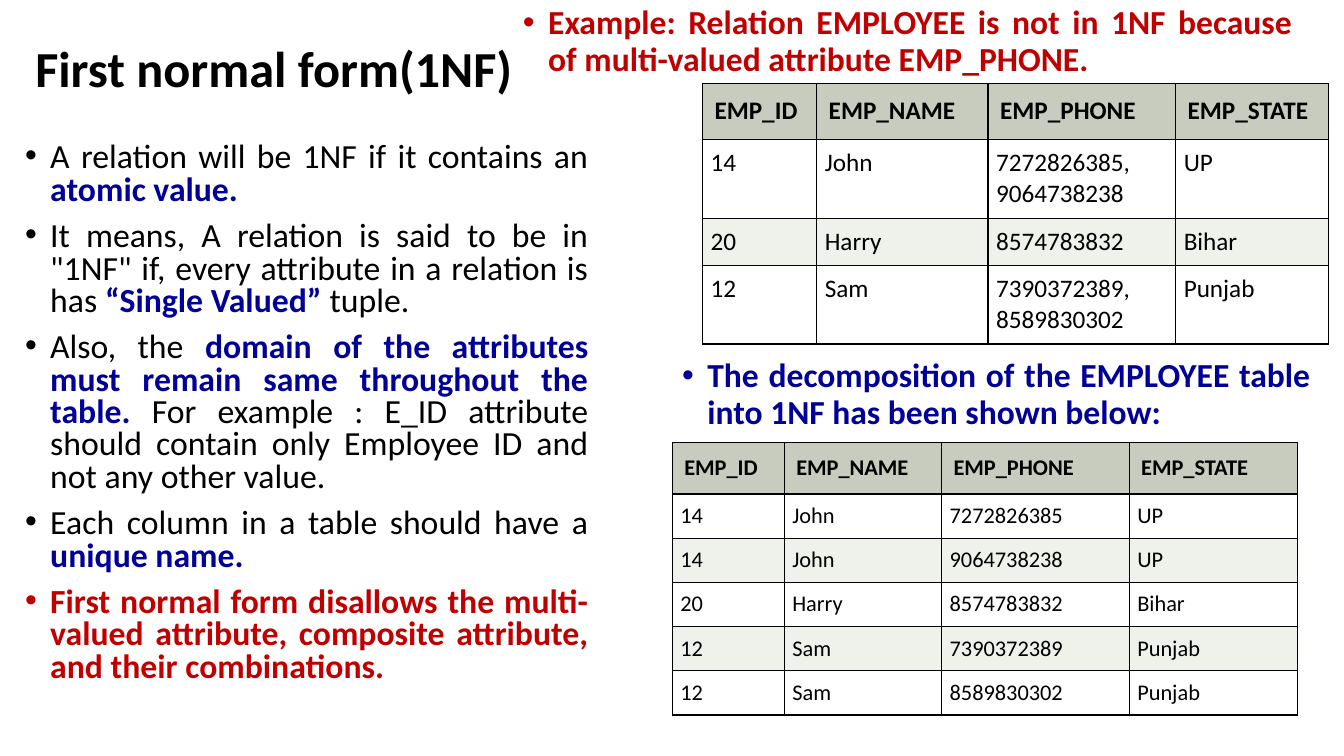
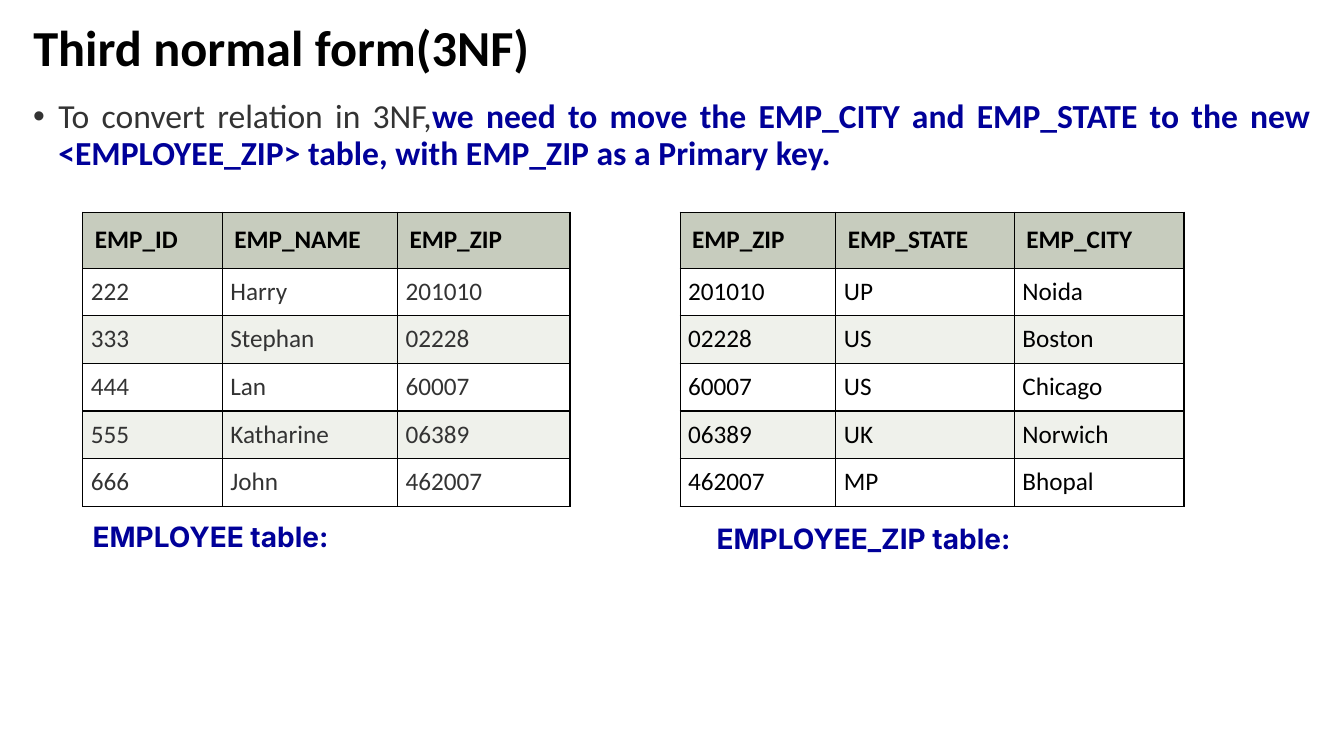
from lxml.etree import SubElement
from pptx import Presentation
from pptx.dml.color import RGBColor
from pptx.enum.text import MSO_ANCHOR, MSO_AUTO_SIZE, PP_ALIGN
from pptx.oxml.ns import qn
from pptx.util import Pt

BLACK = RGBColor(0x00, 0x00, 0x00)
WHITE = RGBColor(0xFF, 0xFF, 0xFF)
GREY = RGBColor(0x33, 0x33, 0x33)
BLUE = RGBColor(0x00, 0x00, 0x99)
RED = RGBColor(0xC0, 0x00, 0x00)
HEADER_FILL = RGBColor(0xC7, 0xCC, 0xBE)
BAND_FILL = RGBColor(0xEF, 0xF1, 0xEB)

MAIN_FONT, CAPTION_FONT = "Calibri", "Inter"
HEADER_MARGIN, CELL_MARGIN = 8.6, 5.8
BULLET_INDENT = 18
# Text size: (header row height, height of a one-line row, height of an extra line)
ROW_HEIGHTS = {18: (40, 34, 22), 16: (36.8, 31.6, 19.6)}

# Each paragraph is a list of runs: (text, colour, bold)
# Each table is: left, top, text size, text colour, column widths, rows
SLIDES = [
    {
        "title": ("First normal form(1NF)", 18, 31),
        "texts": [
            {"box": (10.8, 98.6, 416.9, 420), "size": 24.1, "spacing": 0.8, "paragraphs": [
                [("A relation will be 1NF if it contains an ", BLACK, False),
                 ("atomic value.", BLUE, True)],
                [('It means, A relation is said to be in "1NF" if, every attribute '
                  "in a relation is has ", BLACK, False),
                 ("“Single Valued” ", BLUE, True),
                 ("tuple.", BLACK, False)],
                [("Also, the ", BLACK, False),
                 ("domain of the attributes must remain same throughout the table.", BLUE, True),
                 (" For example : E_ID attribute should contain only Employee ID "
                  "and not any other value.", BLACK, False)],
                [("Each column in a table should have a ", BLACK, False),
                 ("unique name.", BLUE, True)],
                [("First normal form disallows the multi-valued attribute, "
                  "composite attribute, and their combinations.", RED, True)],
            ]},
            {"box": (366.5, 0.7, 563.8, 100), "paragraphs": [
                [("Example: Relation EMPLOYEE is not in 1NF because of "
                  "multi-valued attribute EMP_PHONE.", RED, True)],
            ]},
            {"box": (480.2, 252.7, 463, 100), "paragraphs": [
                [("The decomposition of the EMPLOYEE table into 1NF has been "
                  "shown below:", BLUE, True)],
            ]},
        ],
        "tables": [
            (501.8, 59.8, 18, BLACK, (81.6, 122.4, 134, 109.2), [
                ("EMP_ID", "EMP_NAME", "EMP_PHONE", "EMP_STATE"),
                ("14", "John", "7272826385,\n9064738238", "UP"),
                ("20", "Harry", "8574783832", "Bihar"),
                ("12", "Sam", "7390372389,\n8589830302", "Punjab"),
            ]),
            (480.2, 316.1, 16, BLACK, (80, 112.4, 134, 120), [
                ("EMP_ID", "EMP_NAME", "EMP_PHONE", "EMP_STATE"),
                ("14", "John", "7272826385", "UP"),
                ("14", "John", "9064738238", "UP"),
                ("20", "Harry", "8574783832", "Bihar"),
                ("12", "Sam", "7390372389", "Punjab"),
                ("12", "Sam", "8589830302", "Punjab"),
            ]),
        ],
    },
    {
        "title": ("Third normal form(3NF)", 16.6, 15.8),
        "texts": [
            {"box": (16.6, 67.7, 926.6, 72.7), "paragraphs": [
                [("To convert relation in 3NF,", GREY, False),
                 ("we need to move the EMP_CITY and EMP_STATE to the new "
                  "<EMPLOYEE_ZIP> table, with EMP_ZIP as a Primary key.", BLUE, True)],
            ]},
            {"box": (59, 370, 254, 31), "size": 20, "font": CAPTION_FONT, "bullet": False,
             "paragraphs": [[("EMPLOYEE table:", BLUE, True)]]},
            {"box": (504.7, 371.5, 254, 31), "size": 20, "font": CAPTION_FONT, "bullet": False,
             "paragraphs": [[("EMPLOYEE_ZIP table:", BLUE, True)]]},
        ],
        "tables": [
            (59.2, 151.6, 18, GREY, (99.6, 125.2, 123.2), [
                ("EMP_ID", "EMP_NAME", "EMP_ZIP"),
                ("222", "Harry", "201010"),
                ("333", "Stephan", "02228"),
                ("444", "Lan", "60007"),
                ("555", "Katharine", "06389"),
                ("666", "John", "462007"),
            ]),
            (485.8, 151.6, 18, BLACK, (111.2, 127.6, 121.2), [
                ("EMP_ZIP", "EMP_STATE", "EMP_CITY"),
                ("201010", "UP", "Noida"),
                ("02228", "US", "Boston"),
                ("60007", "US", "Chicago"),
                ("06389", "UK", "Norwich"),
                ("462007", "MP", "Bhopal"),
            ]),
        ],
    },
]


def add_run(paragraph, text, size, color, bold, font=MAIN_FONT):
    run = paragraph.add_run()
    run.text = text
    run.font.name = font
    run.font.size = Pt(size)
    run.font.bold = bold
    run.font.color.rgb = color


def add_bullet(paragraph):
    properties = paragraph._p.get_or_add_pPr()
    properties.set("marL", str(Pt(BULLET_INDENT)))
    properties.set("indent", str(-Pt(BULLET_INDENT)))
    SubElement(properties, qn("a:buFont"), typeface="Arial")
    SubElement(properties, qn("a:buChar"), char="•")


def set_title(slide, text, left, top):
    title = slide.shapes.title
    title.left, title.top, title.width, title.height = Pt(left), Pt(top), Pt(828), Pt(40)
    frame = title.text_frame
    frame.word_wrap = True
    frame.auto_size = MSO_AUTO_SIZE.NONE
    frame.vertical_anchor = MSO_ANCHOR.MIDDLE
    heading = frame.paragraphs[0]
    heading.alignment = PP_ALIGN.LEFT
    heading.line_spacing = 0.9
    add_run(heading, text, 36, BLACK, True)


def add_text(slide, box, paragraphs, size=24, spacing=0.9, font=MAIN_FONT, bullet=True):
    frame = slide.shapes.add_textbox(*map(Pt, box)).text_frame
    frame.word_wrap = True
    for index, runs in enumerate(paragraphs):
        paragraph = frame.add_paragraph() if index else frame.paragraphs[0]
        if bullet:
            add_bullet(paragraph)
        paragraph.alignment = PP_ALIGN.JUSTIFY
        paragraph.line_spacing = spacing
        if index:
            paragraph.space_before = Pt(10)
        for text, color, bold in runs:
            add_run(paragraph, text, size, color, bold, font)


def add_borders(cell):
    properties = cell._tc.get_or_add_tcPr()
    for side in ("a:lnL", "a:lnR", "a:lnT", "a:lnB"):
        line = SubElement(properties, qn(side), w=str(Pt(1)))
        SubElement(SubElement(line, qn("a:solidFill")), qn("a:srgbClr"), val=str(BLACK))


def fill_cell(cell, text, size, color, fill, is_header):
    add_borders(cell)
    cell.fill.solid()
    cell.fill.fore_color.rgb = fill
    margin = Pt(HEADER_MARGIN if is_header else CELL_MARGIN)
    cell.margin_left = cell.margin_right = cell.margin_top = cell.margin_bottom = margin
    paragraph = cell.text_frame.paragraphs[0]
    paragraph.alignment = PP_ALIGN.LEFT
    for index, line in enumerate(text.split("\n")):
        if index:
            paragraph.add_line_break()
        add_run(paragraph, line, size, color, is_header)


def add_data_table(slide, left, top, size, color, widths, rows):
    header_height, row_height, line_height = ROW_HEIGHTS[size]
    heights = [header_height] + [
        row_height + line_height * max(text.count("\n") for text in row) for row in rows[1:]]
    table = slide.shapes.add_table(
        len(rows), len(widths), Pt(left), Pt(top), Pt(sum(widths)), Pt(sum(heights))).table
    table.first_row = table.horz_banding = False
    for column, width in zip(table.columns, widths):
        column.width = Pt(width)
    for r, (row, height) in enumerate(zip(rows, heights)):
        table.rows[r].height = Pt(height)
        is_header = r == 0
        fill = HEADER_FILL if is_header else (WHITE if r % 2 else BAND_FILL)
        for c, text in enumerate(row):
            fill_cell(table.cell(r, c), text, size, BLACK if is_header else color,
                      fill, is_header)


def main():
    deck = Presentation()
    deck.slide_width, deck.slide_height = Pt(960), Pt(540)
    title_only = deck.slide_layouts[5]
    for content in SLIDES:
        slide = deck.slides.add_slide(title_only)
        set_title(slide, *content["title"])
        for text in content["texts"]:
            add_text(slide, **text)
        for table in content["tables"]:
            add_data_table(slide, *table)
    deck.save("out.pptx")


if __name__ == "__main__":
    main()
